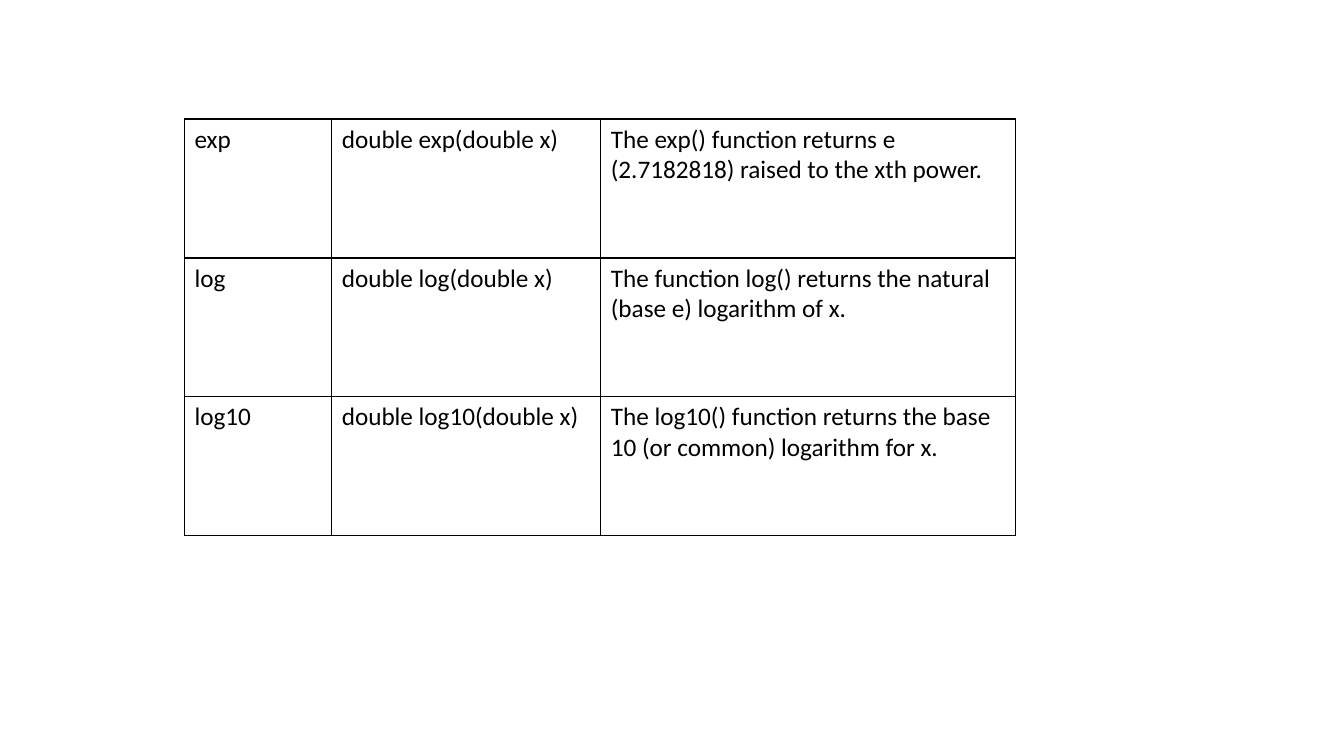
"""Build a slide with a table of exponential and logarithm functions."""
from lxml import etree
from pptx import Presentation
from pptx.dml.color import RGBColor
from pptx.oxml.ns import qn
from pptx.util import Cm, Pt

BLANK_LAYOUT = 6
FONT, INK, PAPER = "Calibri", "000000", "FFFFFF"
FUNCTIONS = [
    ("exp", "double exp(double x)",
     "The\u00a0exp()\u00a0function returns e (2.7182818) raised to the\u00a0xth\u00a0power."),
    ("log", "double log(double x)",
     "The function\u00a0log()\u00a0returns the natural (base e) logarithm of\u00a0x."),
    ("log10", "double log10(double x)",
     "The\u00a0log10()\u00a0function returns the base 10 (or common) logarithm for\u00a0x."),
]
COLUMN_WIDTHS = [3.71, 6.78, 10.45]
ROW_HEIGHT = 3.5
LEFT, TOP = 4.65, 3.0


def color(hex_code):
    return RGBColor.from_string(hex_code)


def add_borders(cell):
    tc_pr = cell._tc.get_or_add_tcPr()
    for i, side in enumerate(("lnL", "lnR", "lnT", "lnB")):
        ln = etree.Element(qn("a:" + side), w=str(Pt(1)))
        fill = etree.SubElement(ln, qn("a:solidFill"))
        etree.SubElement(fill, qn("a:srgbClr"), val=INK)
        tc_pr.insert(i, ln)


def fill_cell(cell, text):
    cell.fill.solid()
    cell.fill.fore_color.rgb = color(PAPER)
    add_borders(cell)
    cell.text_frame.text = text
    font = cell.text_frame.paragraphs[0].runs[0].font
    font.name, font.size, font.bold = FONT, Pt(18), False
    font.color.rgb = color(INK)


prs = Presentation()
prs.slide_width, prs.slide_height = Cm(33.87), Cm(19.05)
s = prs.slides.add_slide(prs.slide_layouts[BLANK_LAYOUT])

table = s.shapes.add_table(
    len(FUNCTIONS), len(COLUMN_WIDTHS), Cm(LEFT), Cm(TOP),
    Cm(sum(COLUMN_WIDTHS)), Cm(ROW_HEIGHT * len(FUNCTIONS))).table
table.first_row = table.horz_banding = False
for column, width in zip(table.columns, COLUMN_WIDTHS):
    column.width = Cm(width)
for row, texts in zip(table.rows, FUNCTIONS):
    row.height = Cm(ROW_HEIGHT)
    for cell, text in zip(row.cells, texts):
        fill_cell(cell, text)

prs.save("out.pptx")
